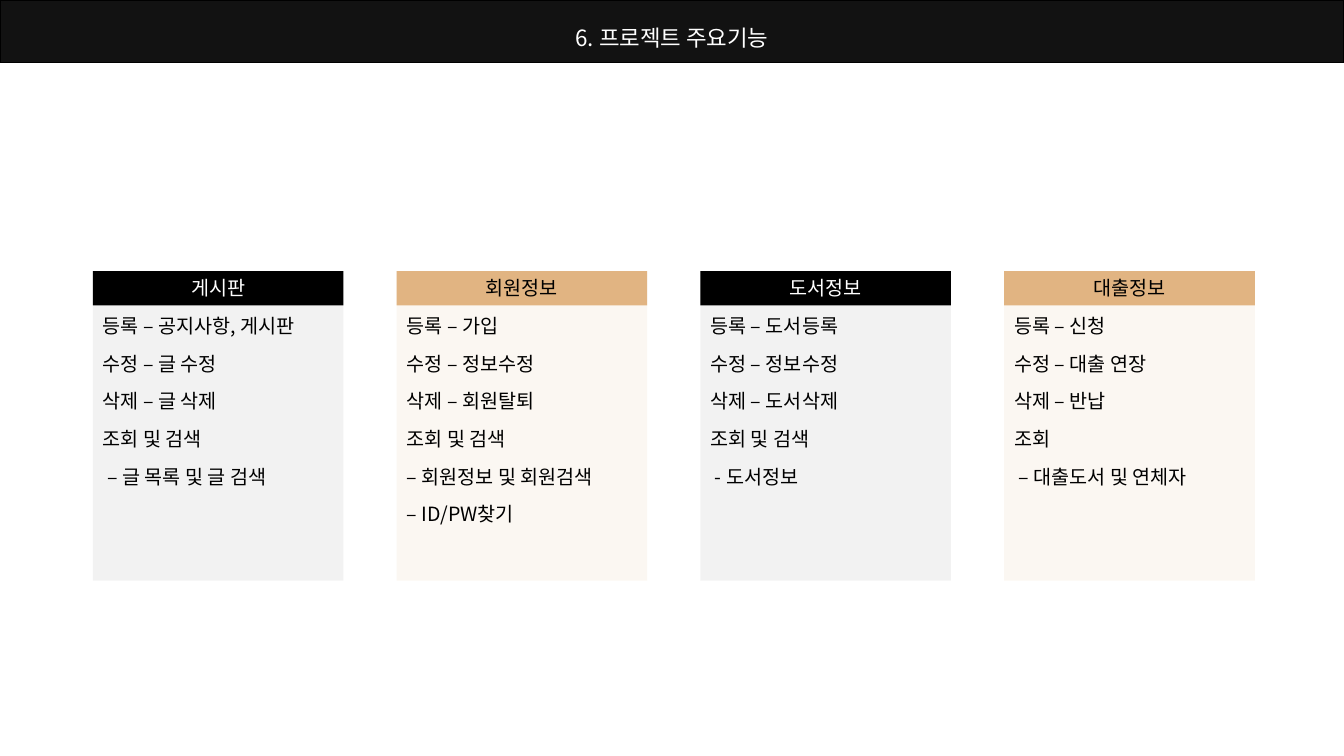
from dataclasses import dataclass

from lxml.etree import SubElement
from pptx import Presentation
from pptx.dml.color import RGBColor
from pptx.enum.shapes import MSO_SHAPE
from pptx.enum.text import MSO_ANCHOR, MSO_AUTO_SIZE, PP_ALIGN
from pptx.oxml.ns import qn
from pptx.shapes.base import BaseShape
from pptx.slide import Slide
from pptx.text.text import TextFrame, _Paragraph
from pptx.util import Length, Pt


@dataclass(frozen=True)
class Theme:
    face: str = "Noto Sans CJK KR"
    black: RGBColor = RGBColor(0, 0, 0)
    white: RGBColor = RGBColor(255, 255, 255)
    tan: RGBColor = RGBColor(0xE1, 0xB4, 0x82)
    title: Length = Pt(16)
    text: Length = Pt(14)


@dataclass(frozen=True)
class Card:
    name: str
    items: list[str]
    fill: RGBColor
    ink: RGBColor
    tint: int  # percent opacity of the panel


THEME = Theme()
DARK = (THEME.black, THEME.white, 5)
WARM = (THEME.tan, THEME.black, 10)

CARDS = [
    Card("게시판", ["등록 – 공지사항, 게시판", "수정 – 글 수정", "삭제 – 글 삭제",
                 "조회 및 검색", " – 글 목록 및 글 검색"], *DARK),
    Card("회원정보", ["등록 – 가입", "수정 – 정보수정", "삭제 – 회원탈퇴",
                  "조회 및 검색", "– 회원정보 및 회원검색", "– ID/PW찾기"], *WARM),
    Card("도서정보", ["등록 – 도서등록", "수정 – 정보수정", "삭제 – 도서삭제",
                  "조회 및 검색", " - 도서정보"], *DARK),
    Card("대출정보", ["등록 – 신청", "수정 – 대출 연장", "삭제 – 반납",
                  "조회", " – 대출도서 및 연체자"], *WARM),
]

WIDE, HIGH = Pt(960), Pt(540)
LEFT, TOP, STEP = Pt(66.3), Pt(193.7), Pt(217)
CARD_W, CARD_H, HEAD_H = Pt(179), Pt(221), Pt(24.5)
FRAME = {"word_wrap": True, "auto_size": MSO_AUTO_SIZE.NONE,
         "vertical_anchor": MSO_ANCHOR.TOP}


def apply(target: object, values: dict) -> None:
    for key, value in values.items():
        setattr(target, key, value)


def place(shape: BaseShape, left: Length, top: Length,
          width: Length, height: Length) -> None:
    apply(shape, {"left": left, "top": top, "width": width, "height": height})


def paint(shape: BaseShape, color: RGBColor, opacity: int = 100) -> None:
    shape.fill.solid()
    shape.fill.fore_color.rgb = color
    if opacity < 100:
        node = shape.element.spPr.find(f"{qn('a:solidFill')}/{qn('a:srgbClr')}")
        SubElement(node, qn("a:alpha"), val=str(opacity * 1000))


def block(slide: Slide, under: BaseShape, box: tuple,
          color: RGBColor, opacity: int = 100) -> BaseShape:
    """Draw a plain rectangle just behind the given shape."""
    rect = slide.shapes.add_shape(MSO_SHAPE.RECTANGLE, *box)
    rect.shadow.inherit = False
    paint(rect, color, opacity)
    rect.line.fill.background()
    under.element.addprevious(rect.element)
    return rect


def write(para: _Paragraph, text: str, size: Length, ink: RGBColor) -> None:
    run = para.add_run()
    run.text = text
    apply(run.font, {"size": size, "bold": False, "name": THEME.face})
    run.font.color.rgb = ink
    SubElement(run._r.get_or_add_rPr(), qn("a:ea"), typeface=THEME.face)


def fill_list(frame: TextFrame, card: Card) -> None:
    apply(frame, FRAME)
    for row, text in enumerate([card.name, *card.items]):
        first = row == 0
        para = frame.paragraphs[0] if first else frame.add_paragraph()
        props = para._p.get_or_add_pPr()
        apply(para, {"alignment": PP_ALIGN.CENTER if first else PP_ALIGN.LEFT,
                     "line_spacing": Pt(16.9),
                     "space_before": Pt(0 if first else 10)})
        props.set("marL", "0")
        props.set("indent", "0")
        SubElement(props, qn("a:buNone"))
        write(para, text, THEME.text, card.ink if first else THEME.black)


def draw_title(slide: Slide) -> None:
    title = slide.shapes.title
    place(title, Pt(346.5), Pt(13.7), Pt(267), Pt(28))
    bar = block(slide, title, (0, 0, WIDE, Pt(44.6)), THEME.black, 93)
    bar.line.color.rgb = THEME.black
    bar.line.width = Pt(1)
    apply(title.text_frame, FRAME)
    para = title.text_frame.paragraphs[0]
    apply(para, {"alignment": PP_ALIGN.CENTER, "line_spacing": 1.0,
                 "space_before": Pt(0)})
    write(para, "6. 프로젝트 주요기능", THEME.title, THEME.white)


def draw_card(slide: Slide, body: BaseShape, card: Card, left: Length) -> None:
    place(body, left, TOP, CARD_W, CARD_H)
    paint(body, card.fill, card.tint)
    block(slide, body, (left, TOP, CARD_W, HEAD_H), card.fill)
    fill_list(body.text_frame, card)


def main() -> None:
    deck = Presentation()
    apply(deck, {"slide_width": WIDE, "slide_height": HIGH})
    slide = deck.slides.add_slide(deck.slide_layouts.get_by_name("Comparison"))
    title, *bodies = slide.placeholders
    draw_title(slide)
    for col, (body, card) in enumerate(zip(bodies, CARDS)):
        draw_card(slide, body, card, LEFT + col * STEP)
    deck.save("out.pptx")


if __name__ == "__main__":
    main()
